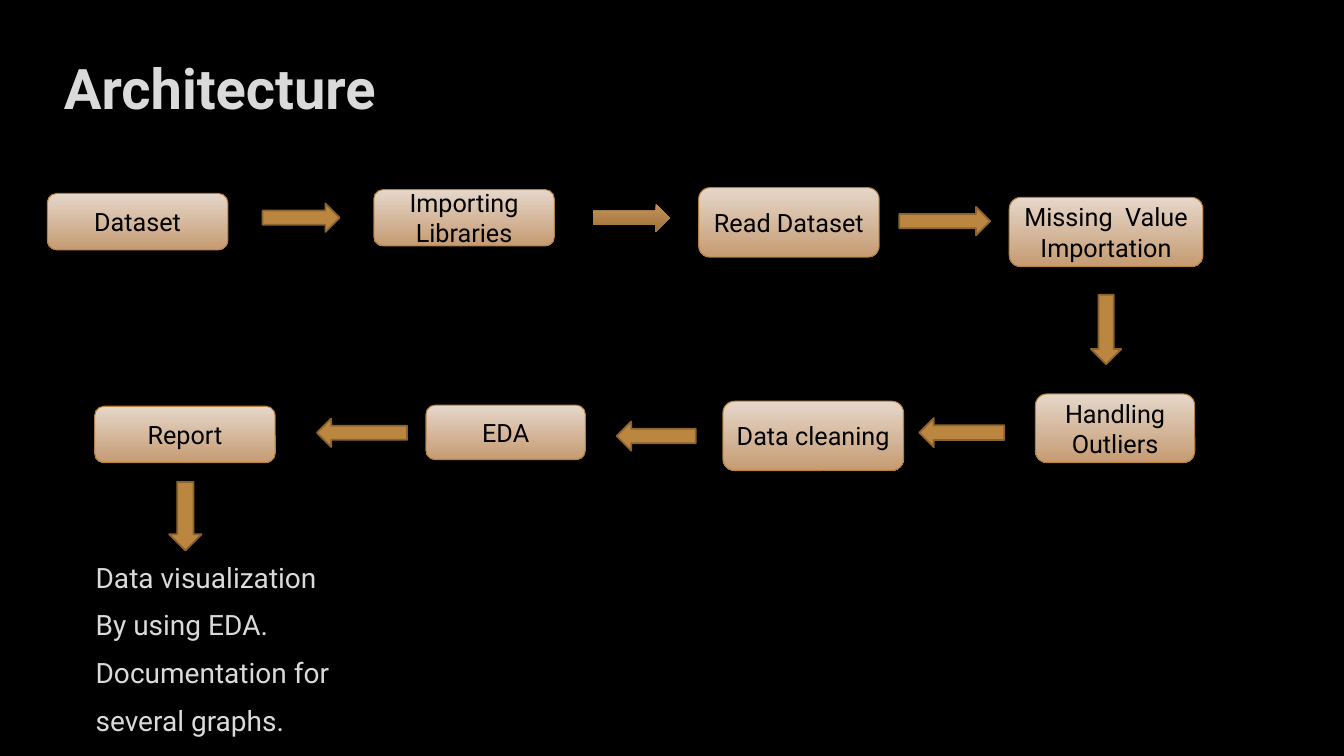
from pptx import Presentation
from pptx.dml.color import RGBColor
from pptx.enum import shapes, text
from pptx.util import Pt

BLACK = RGBColor(0x00, 0x00, 0x00)
PALE = RGBColor(0xDA, 0xDA, 0xDA)
CREAM = RGBColor(0xE6, 0xD7, 0xCA)
TAN = RGBColor(0xC5, 0x9B, 0x72)
EDGE = RGBColor(0xB3, 0x80, 0x3D)
GOLD = RGBColor(0xBB, 0x86, 0x40)
RIM = RGBColor(0x8A, 0x63, 0x2F)
SAND = RGBColor(0xC1, 0x93, 0x5D)
BROWN = RGBColor(0xA1, 0x73, 0x37)

FONT = "Roboto"
KIND = shapes.MSO_SHAPE
RIGHT, DOWN, LEFT = KIND.RIGHT_ARROW, KIND.DOWN_ARROW, KIND.LEFT_ARROW

TITLE = "Architecture"
STEPS = [
    ("Dataset", 33.8, 138.2, 129, 40.3),
    ("Importing Libraries", 267, 135.4, 129, 40.3),
    ("Read Dataset", 499, 134, 129, 49.7),
    ("Missing  Value Importation", 720.9, 141, 138.4, 49.5),
    ("Handling Outliers", 739.6, 281.4, 113.8, 49),
    ("Data cleaning", 516.4, 286.6, 129, 49.5),
    ("EDA", 304.3, 289.4, 113.8, 38.9),
    ("Report", 67.6, 290.2, 129, 40.3),
]
ARROWS = [
    (RIGHT, 187.6, 145.4, 55, 20.3),
    (RIGHT, 423.5, 145.4, 55, 20.3),
    (RIGHT, 642.3, 147.8, 65, 20.3),
    (DOWN, 779.2, 210.6, 21.8, 49.6),
    (LEFT, 656.6, 298.6, 60.8, 20.9),
    (LEFT, 440.4, 301, 56.6, 20.9),
    (LEFT, 226.4, 299, 64.4, 20.3),
    (DOWN, 120.8, 344.2, 23.2, 49),
]
GLOSSY = 1
NOTES = ["Data visualization", "By using EDA.", "Documentation for", "several graphs."]


def style(par, size, color, align=None, bold=False):
    par.font.name, par.font.size, par.font.bold = FONT, Pt(size), bold
    par.font.color.rgb = color
    par.alignment = align


def shade(fill, top, base):
    fill.gradient()
    fill.gradient_angle = 270
    for stop, color in zip(fill.gradient_stops, (top, base)):
        stop.color.rgb = color


def draw(slide, kind, box):
    shape = slide.shapes.add_shape(kind, *map(Pt, box))
    shape.shadow.inherit = False
    return shape


def edge(shape, color, width):
    shape.line.color.rgb = color
    shape.line.width = Pt(width)


def main():
    deck = Presentation()
    deck.slide_width, deck.slide_height = Pt(960), Pt(540)
    slide = deck.slides.add_slide(deck.slide_layouts[5])
    slide.background.fill.solid()
    slide.background.fill.fore_color.rgb = BLACK

    title = slide.shapes.title
    title.left, title.top, title.width, title.height = map(Pt, (0, 25.2, 314, 74.2))
    title.text_frame.text = TITLE
    title.text_frame.vertical_anchor = text.MSO_ANCHOR.MIDDLE
    style(title.text_frame.paragraphs[0], 40, PALE, text.PP_ALIGN.CENTER, True)

    frame = slide.shapes.add_textbox(*map(Pt, (58.3, 396.7, 263.5, 130.3))).text_frame
    frame.word_wrap = True
    frame.margin_left = Pt(10)
    frame.text = "\n".join(NOTES)
    for par in frame.paragraphs:
        style(par, 20, PALE)
        par.space_before, par.space_after = Pt(4), Pt(6)

    for label, *box in STEPS:
        step = draw(slide, KIND.ROUNDED_RECTANGLE, box)
        shade(step.fill, CREAM, TAN)
        edge(step, EDGE, 0.75)
        step.text_frame.text = label
        step.text_frame.word_wrap = True
        step.text_frame.vertical_anchor = text.MSO_ANCHOR.MIDDLE
        style(step.text_frame.paragraphs[0], 18, BLACK, text.PP_ALIGN.CENTER)

    for i, (kind, *box) in enumerate(ARROWS):
        arrow = draw(slide, kind, box)
        if i == GLOSSY:
            shade(arrow.fill, SAND, BROWN)
            arrow.line.fill.background()
        else:
            arrow.fill.solid()
            arrow.fill.fore_color.rgb = GOLD
            edge(arrow, RIM, 1.25)

    deck.save("out.pptx")


if __name__ == "__main__":
    main()
